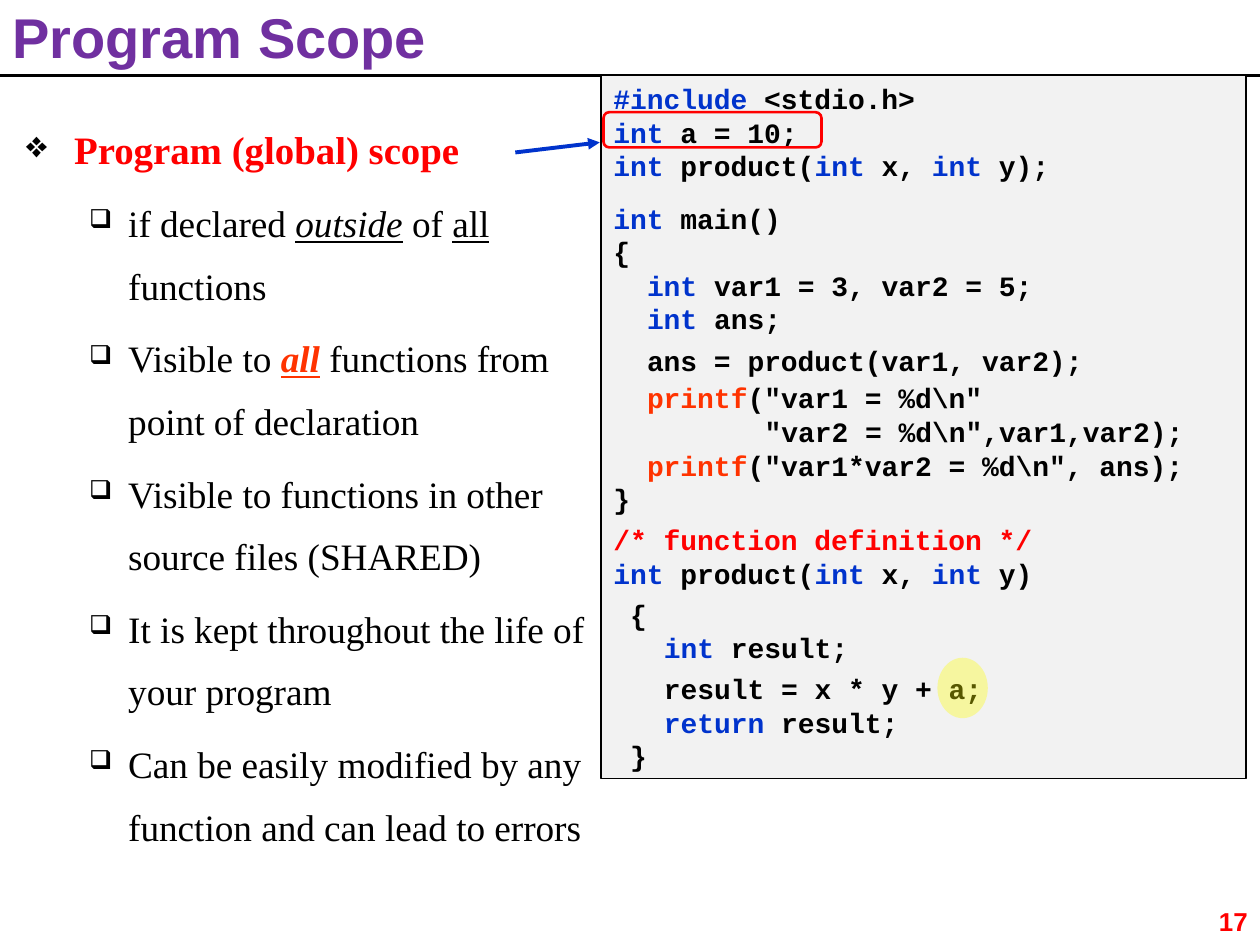
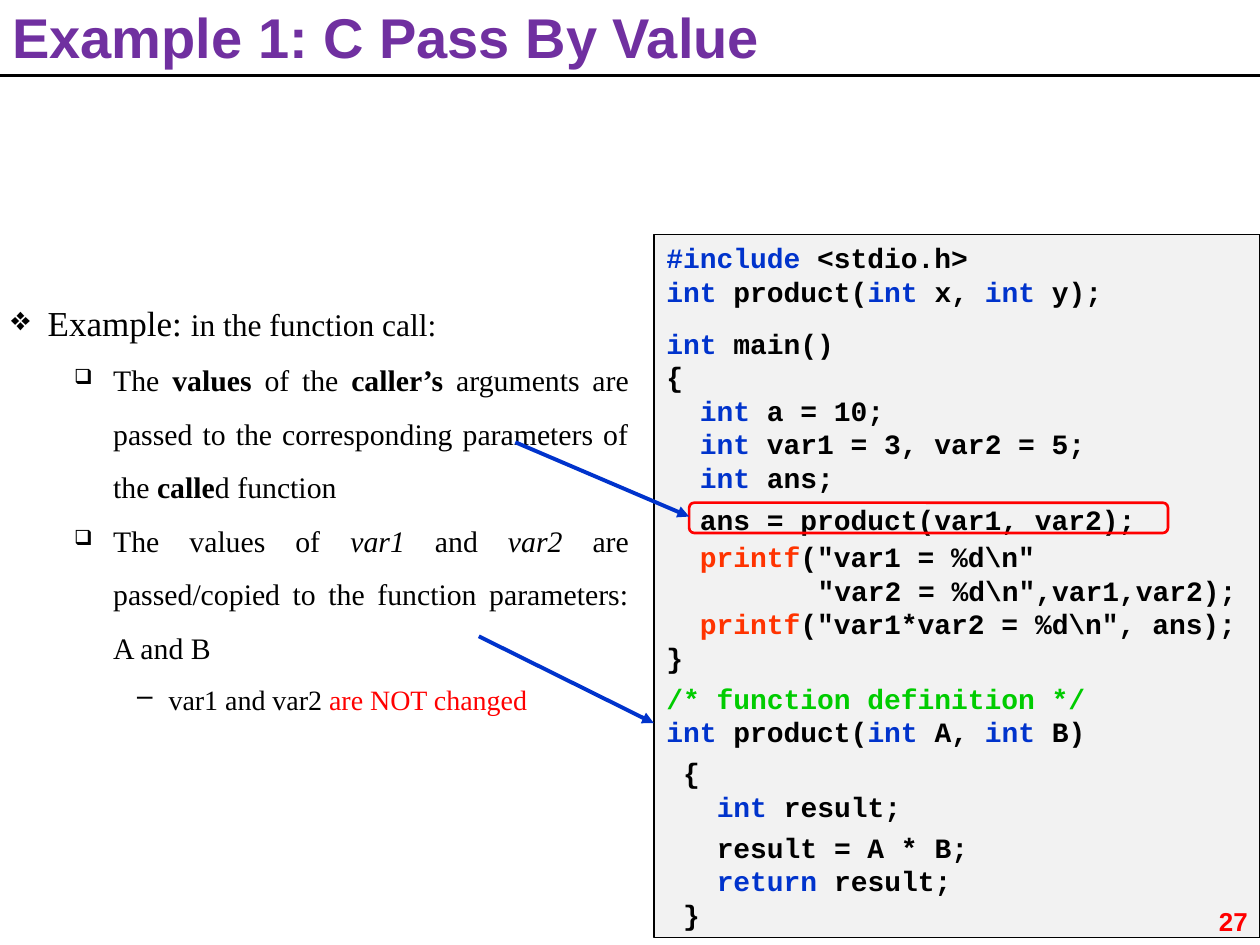
from lxml import etree
from pptx import Presentation
from pptx import util as u
from pptx.dml.color import RGBColor
from pptx.enum import shapes, text
from pptx.oxml import ns

# Content: bullets are (level, [(words, format), ...])
SCOPE_POINTS = [
    (0, [("Program (global) scope", dict(bold=True, color="red", size=22.2))]),
    (1, [("if declared ", {}), ("outside", dict(italic=True, underline=True)),
         (" of ", {}), ("all", dict(underline=True)), (" functions", {})]),
    (1, [("Visible to ", {}),
         ("all", dict(bold=True, italic=True, underline=True, color="orange")),
         (" functions from point of declaration", {})]),
    (1, [("Visible to functions in other source files (SHARED)", {})]),
    (1, [("It is kept throughout the life of your program", {})]),
    (1, [("Can be easily modified by any function and can lead to errors", {})]),
]
VALUE_POINTS = [
    (0, [("Example: ", dict(size=20)), ("in the function call:", dict(size=18))]),
    (1, [("The ", {}), ("values", dict(bold=True)), (" of the ", {}),
         ("caller’s ", dict(bold=True)),
         ("arguments are passed to the corresponding parameters of the ", {}),
         ("calle", dict(bold=True)), ("d function", {})]),
    (1, [("The values of ", {}), ("var1", dict(italic=True)), (" and ", {}),
         ("var2", dict(italic=True)),
         (" are passed/copied to the function parameters: A and B", {})]),
    (2, [("var1 and var2 ", dict(size=16)),
         ("are NOT changed", dict(size=16, color="red"))]),
]

# Code: (points of space above, line); words between bars are highlighted
INCLUDE = (0, "|#include| <stdio.h>")
GLOBAL_A = (0, "|int| a = 10;")
LOCAL_A = (0, "  |int| a = 10;")
PROTOTYPE = (0, "|int| product(|int| x, |int| y);")
MAIN_HEAD = [(10.6, "|int| main()"), (0, "{")]
MAIN_BODY = [
    (0, "  |int| var1 = 3, var2 = 5;"),
    (0, "  |int| ans;"),
    (4.9, "  ans = product(var1, var2);"),
    (1.9, '  |printf|("var1 = %d\\n"'),
    (0, '         "var2 = %d\\n",var1,var2);'),
    (0, '  |printf|("var1*var2 = %d\\n", ans);'),
    (0, "}"),
    (4.2, "|/* function definition */|"),
]


def product_code(first, second, result):
    return [(0, f"|int| product(|int| {first}, |int| {second})"),
            (4.2, " {"), (0, "   |int| result;"),
            (4.2, f"   result = {result};"),
            (0, "   |return| result;"), (0, " }")]


SCOPE_CODE = [INCLUDE, GLOBAL_A, PROTOTYPE, *MAIN_HEAD, *MAIN_BODY,
              *product_code("x", "y", "x * y + a")]
VALUE_CODE = [INCLUDE, PROTOTYPE, *MAIN_HEAD, LOCAL_A, *MAIN_BODY,
              *product_code("A", "B", "A * B")]

# Shared look
COLORS = dict(black="000000", purple="7030A0", red="FF0000", orange="FF3300",
              blue="0033CC", green="00CC00", panel="F2F2F2", yellow="FFFF00")
TOKEN_COLORS = {"#include": "blue", "int": "blue", "return": "blue", "printf": "orange"}
SANS, SERIF, MONO = "Arial", "Times New Roman", "Courier New"
CODE_SIZE = 16
CODE_CHAR = 0.6 * CODE_SIZE  # width of one character in points
RULE_Y = 0.6
BULLETS = [("❖", 95), ("❑", 70), ("–", 100)]


def rgb(name):
    return RGBColor.from_string(COLORS[name])


def add_span(para, words, font=SERIF, size=17, color="black", bold=False,
             italic=False, underline=False):
    span = para.add_run()
    span.text = words
    style = span.font
    style.name, style.size, style.bold = font, u.Pt(size), bold
    style.italic, style.underline = italic, underline
    style.color.rgb = rgb(color)


def add_box(page, left, top, width, height, anchor=text.MSO_ANCHOR.TOP):
    box = page.shapes.add_textbox(*map(u.Inches, (left, top, width, height)))
    box.text_frame.word_wrap = True
    box.text_frame.vertical_anchor = anchor
    return box


def next_para(frame, index):
    return frame.paragraphs[0] if index == 0 else frame.add_paragraph()


def add_line(page, start, end, color="black", weight=1.5, arrow=False):
    line = page.shapes.add_connector(shapes.MSO_CONNECTOR.STRAIGHT,
                                     *map(u.Inches, (*start, *end)))
    line.line.color.rgb = rgb(color)
    line.line.width = u.Pt(weight)
    if arrow:
        etree.SubElement(line.line._get_or_add_ln(), ns.qn("a:tailEnd"), type="triangle")
    etree.SubElement(line._element.spPr, ns.qn("a:effectLst"))


def add_arrow(page, start, end):
    add_line(page, start, end, color="blue", weight=2.25, arrow=True)


def add_shape(page, kind, left, top, width, height, fill=None, line=None, weight=1.5):
    shape = page.shapes.add_shape(kind, *map(u.Inches, (left, top, width, height)))
    shape.shadow.inherit = False
    if fill:
        shape.fill.solid()
        shape.fill.fore_color.rgb = rgb(fill)
    else:
        shape.fill.background()
    if line:
        shape.line.color.rgb = rgb(line)
        shape.line.width = u.Pt(weight)
    else:
        shape.line.fill.background()
    return shape


def add_frame(page, left, top, width, height):
    add_shape(page, shapes.MSO_SHAPE.ROUNDED_RECTANGLE, left, top, width, height, line="red")


def add_page(deck, title):
    page = deck.slides.add_slide(deck.slide_layouts[6])
    add_line(page, (0, RULE_Y), (10, RULE_Y))
    box = add_box(page, 0, 0, 10, RULE_Y, anchor=text.MSO_ANCHOR.BOTTOM)
    add_span(box.text_frame.paragraphs[0], title, font=SANS, size=32,
             color="purple", bold=True)
    return page


def add_number(page, number):
    para = add_box(page, 9.41, 7.14, 0.59, 0.36).text_frame.paragraphs[0]
    para.alignment = text.PP_ALIGN.RIGHT
    add_span(para, number, font=SANS, size=14.8, color="red", bold=True)


def set_bullet(para, level, margin, hang):
    mark, percent = BULLETS[level]
    props = para._p.get_or_add_pPr()
    props.set("marL", str(u.Inches(margin)))
    props.set("indent", str(-u.Inches(hang)))
    color = etree.SubElement(props, ns.qn("a:buClr"))
    etree.SubElement(color, ns.qn("a:srgbClr"), val=COLORS["black"])
    etree.SubElement(props, ns.qn("a:buSzPct"), val=str(percent * 1000))
    etree.SubElement(props, ns.qn("a:buChar"), char=mark)


def add_points(page, points, place, indents, size, spacing, before=0, justify=False):
    frame = add_box(page, *place).text_frame
    for index, (level, spans) in enumerate(points):
        para = next_para(frame, index)
        para.level = level
        para.line_spacing = spacing
        para.space_before = u.Pt(before)
        if justify and level:
            para.alignment = text.PP_ALIGN.JUSTIFY
        set_bullet(para, level, *indents[level])
        for words, style in spans:
            add_span(para, words, **{"size": size, **style})


def add_code(page, code, left, top, width, comment):
    panel = add_shape(page, shapes.MSO_SHAPE.RECTANGLE, left, top, width, 5.58,
                      fill="panel", line="black", weight=0.75)
    frame = panel.text_frame
    frame.word_wrap = True
    frame.vertical_anchor = text.MSO_ANCHOR.TOP
    for index, (gap, line) in enumerate(code):
        para = next_para(frame, index)
        para.alignment = text.PP_ALIGN.LEFT
        para.space_before = u.Pt(gap)
        words = line.lstrip()
        depth = len(line) - len(words)
        props = para._p.get_or_add_pPr()
        props.set("marL", str(u.Pt(depth * CODE_CHAR)))
        props.set("indent", "0")
        for part, token in enumerate(words.split("|")):
            if token:
                color = TOKEN_COLORS.get(token, comment) if part % 2 else "black"
                add_span(para, token, font=MONO, size=CODE_SIZE, color=color, bold=True)


def add_scope_page(deck):
    page = add_page(deck, "Program Scope")
    add_points(page, SCOPE_POINTS, (0.11, 0.8, 4.93, 5.89),
               [(0.38, 0.38), (0.81, 0.31)], size=21.3, spacing=1.4, before=5.8)
    add_code(page, SCOPE_CODE, 4.77, RULE_Y, 5.12, comment="red")
    # Global variable and its use
    add_frame(page, 4.79, 0.89, 1.73, 0.28)
    add_arrow(page, (4.09, 1.21), (4.76, 1.13))
    add_number(page, "17")
    glow = add_shape(page, shapes.MSO_SHAPE.OVAL, 7.44, 5.22, 0.4, 0.48, fill="yellow")
    tint = glow._element.spPr.find(".//" + ns.qn("a:srgbClr"))
    etree.SubElement(tint, ns.qn("a:alpha"), val="34000")


def add_value_page(deck):
    page = add_page(deck, "Example 1: C Pass By Value")
    add_points(page, VALUE_POINTS, (-0.01, 2.18, 5.1, 4.47),
               [(0.29, 0.29), (0.81, 0.31), (1.25, 0.25)],
               size=17, spacing=1.5, justify=True)
    add_code(page, VALUE_CODE, 5.19, 1.86, 4.81, comment="green")
    # Function call and definition
    add_frame(page, 5.47, 3.99, 3.8, 0.24)
    add_arrow(page, (4.09, 3.51), (5.47, 4.1))
    add_arrow(page, (3.8, 5.05), (5.19, 5.74))
    add_number(page, "27")


def main():
    deck = Presentation()
    deck.slide_width, deck.slide_height = u.Inches(10), u.Inches(7.5)
    add_scope_page(deck)
    add_value_page(deck)
    deck.save("out.pptx")


if __name__ == "__main__":
    main()
